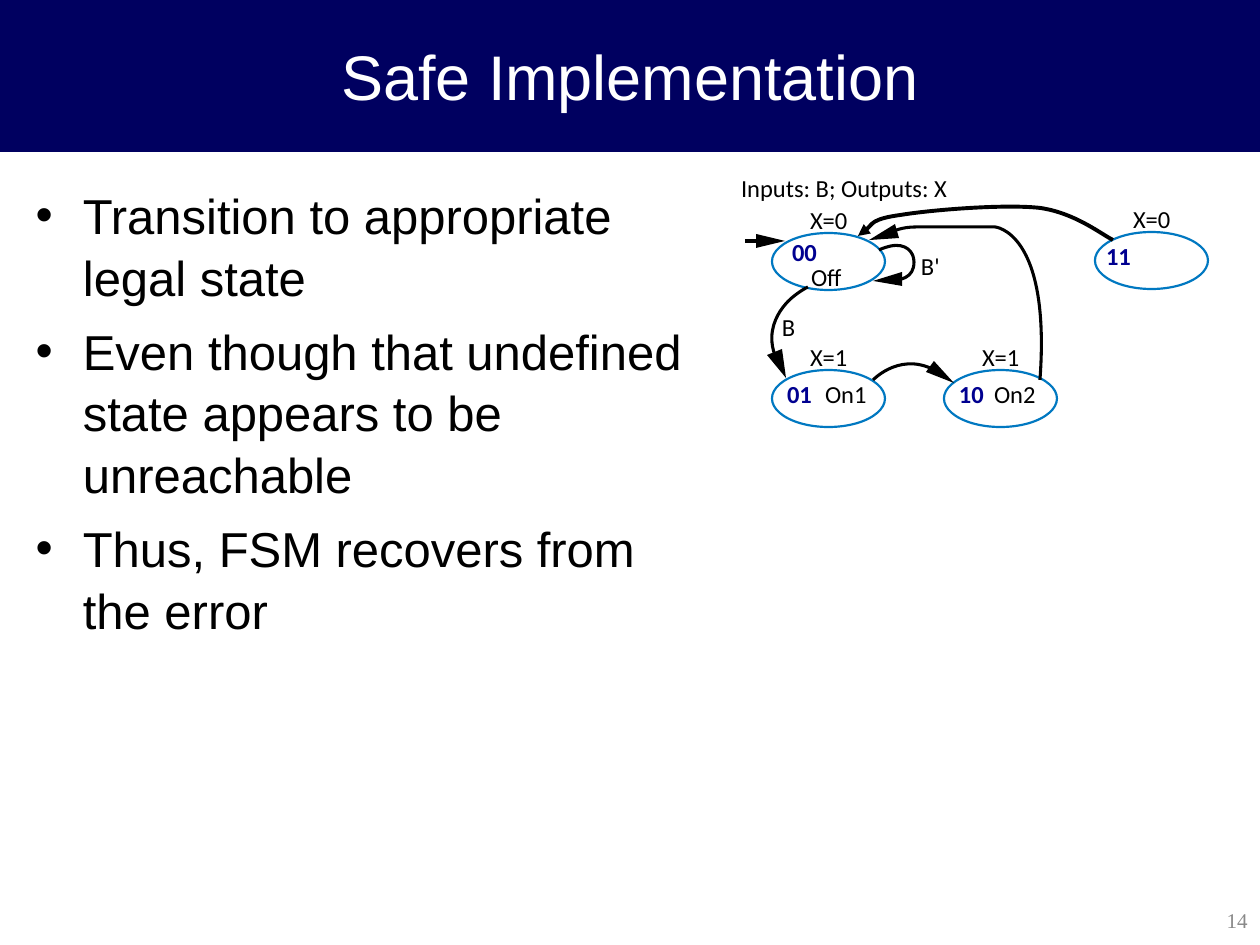
from pptx import Presentation
from pptx.dml.color import RGBColor
from pptx.enum.shapes import MSO_CONNECTOR as CONNECTOR, MSO_SHAPE as SHAPE
from pptx.enum.text import MSO_ANCHOR as ANCHOR, MSO_AUTO_SIZE as AUTO_SIZE, PP_ALIGN as ALIGN
from pptx.oxml.ns import qn
from pptx.oxml.xmlchemy import OxmlElement
from pptx.util import Pt

PX = 914400 / 126
COLORS = {"navy": "000060", "white": "FFFFFF", "black": "000000",
          "code": "000090", "state": "0078C1", "gray": "898989"}

# Content
TITLE = "Safe Implementation"
POINTS = ["Transition to appropriate legal state",
          "Even though that undefined state appears to be unreachable",
          "Thus, FSM recovers from the error"]
PAGE = "14"

# State ovals: left, top, output, (code, dx, dy), (name, dx, dy)
STATE_SIZE = (113, 57)
STATES = [(772, 370, "X=1", ("01", 15, 9), ("On1", 53, 9)),
          (944, 370, "X=1", ("10", 15, 9), ("On2", 50, 9)),
          (772, 233, "X=0", ("00", 20, 4), ("Off", 39, 29)),
          (1095, 232, "X=0", ("11", 11, 9), None)]
OUTPUT_OFFSET = (38, -28)
LABELS = [("Inputs: B; Outputs: X", 741, 173), ("B", 782, 312), ("B'", 921, 251)]

# Transitions: start point, then three points for each Bézier segment
TRANSITIONS = {
    "On1 to On2": [(873, 380), (873, 380), (903, 348), (941, 374)],
    "Off to On1": [(808, 287), (800, 291), (793, 297), (793, 297),
                   (793, 297), (757, 324), (779, 364)],
    "Off to Off": [(879, 250), (883, 248), (887, 247), (891, 246),
                   (906, 243), (914, 252), (914, 262),
                   (914, 278), (901, 281), (885, 281)],
    "On2 to Off": [(1040, 380), (1051, 231), (995, 227), (995, 227),
                   (995, 227), (995, 227), (916, 227),
                   (902, 227), (893, 231), (888, 234)],
}
RECOVERY = [(1113, 240), (1101, 234), (1075, 213), (1040, 208),
            (1004, 204), (931, 210), (901, 215),
            (871, 219), (867, 232), (858, 236)]
ENTRY = (745, 241, 766, 241)
ARROWHEADS = [[(785, 241), (756, 234), (756, 248)],
              [(954, 383), (934, 361), (926, 372)],
              [(873, 281), (902, 286), (902, 272)],
              [(869, 240), (899, 238), (895, 224)],
              [(786, 378), (767, 355), (782, 349)]]


def px(*lengths):
    return [round(length * PX) for length in lengths]


def color(key):
    return RGBColor.from_string(COLORS[key])


def place(shape, *box):
    shape.left, shape.top, shape.width, shape.height = px(*box)


def write(frame, paragraphs, size=14, font="Calibri", ink="black", bold=False,
          align=None, anchor=ANCHOR.TOP, wrap=True, inset=None, gap=0, spacing=None):
    frame.auto_size = AUTO_SIZE.NONE
    frame.word_wrap = wrap
    frame.vertical_anchor = anchor
    if inset is not None:
        frame.margin_left = frame.margin_right = frame.margin_top = frame.margin_bottom = inset
    for index, words in enumerate(paragraphs):
        paragraph = frame.add_paragraph() if index else frame.paragraphs[0]
        paragraph.alignment = align
        paragraph.space_before = Pt(gap if index else 0)
        paragraph.line_spacing = spacing
        run = paragraph.add_run()
        run.text = words
        run.font.size, run.font.name, run.font.bold = Pt(size), font, bold
        run.font.color.rgb = color(ink)


def add_label(words, left, top, **style):
    box = slide.shapes.add_textbox(*px(left, top, 11 * len(words), 29))
    write(box.text_frame, [words], wrap=False, inset=0, **style)


def stroke(shape, ink, width):
    shape.line.color.rgb = color(ink)
    shape.line.width = Pt(width)


def add_outline(points, close):
    builder = slide.shapes.build_freeform(*points[0], scale=PX)
    builder.add_line_segments(points[1:], close=close)
    outline = builder.convert_to_shape()
    outline.shadow.inherit = False
    return outline


def add_curve(points, width=1.75):
    curve = add_outline(points, close=False)
    curve.fill.background()
    stroke(curve, "black", width)
    # Each three line segments become one Bézier segment
    segments = list(curve._element.iter(qn("a:lnTo")))
    for first in range(0, len(segments), 3):
        bezier = OxmlElement("a:cubicBezTo")
        segments[first].addprevious(bezier)
        for segment in segments[first:first + 3]:
            bezier.append(segment[0])
            segment.getparent().remove(segment)
    return curve


deck = Presentation()
deck.slide_width, deck.slide_height = px(1260, 945)
slide = deck.slides.add_slide(deck.slide_layouts[1])

# Title bar and list
title, points = slide.placeholders
place(title, 0, 0, 1260, 151)
title.fill.solid()
title.fill.fore_color.rgb = color("navy")
stroke(title, "navy", 0.75)
write(title.text_frame, [TITLE], size=36, font="Arial", ink="white",
      align=ALIGN.CENTER, anchor=ANCHOR.MIDDLE)
place(points, 23, 176, 678, 719)
write(points.text_frame, POINTS, size=28, font="Arial", gap=7, spacing=1.05)

# Page number
page = slide.shapes.add_textbox(*px(993, 895, 267, 50))
write(page.text_frame, [PAGE], size=12, font="Times New Roman", ink="gray",
      align=ALIGN.RIGHT, anchor=ANCHOR.MIDDLE)

# States
for left, top, output, code, name in STATES:
    state = slide.shapes.add_shape(SHAPE.OVAL, *px(left, top, *STATE_SIZE))
    state.shadow.inherit = False
    state.fill.background()
    stroke(state, "state", 1.25)
    add_label(output, left + OUTPUT_OFFSET[0], top + OUTPUT_OFFSET[1])
    add_label(code[0], left + code[1], top + code[2], ink="code", bold=True)
    if name:
        add_label(name[0], left + name[1], top + name[2])
for label in LABELS:
    add_label(*label)

# Transitions
for transition in TRANSITIONS.values():
    add_curve(transition)
entry = slide.shapes.add_connector(CONNECTOR.STRAIGHT, *px(*ENTRY))
stroke(entry, "black", 1.75)
entry._element.spPr.append(OxmlElement("a:effectLst"))
for corners in ARROWHEADS:
    head = add_outline(corners, close=True)
    head.fill.solid()
    head.fill.fore_color.rgb = color("black")
    head.line.fill.background()

# Recovery from the undefined state
recovery = add_curve(RECOVERY, width=2.25)
tip = OxmlElement("a:tailEnd")
tip.set("type", "triangle")
recovery.line._get_or_add_ln().append(tip)

deck.save("out.pptx")
